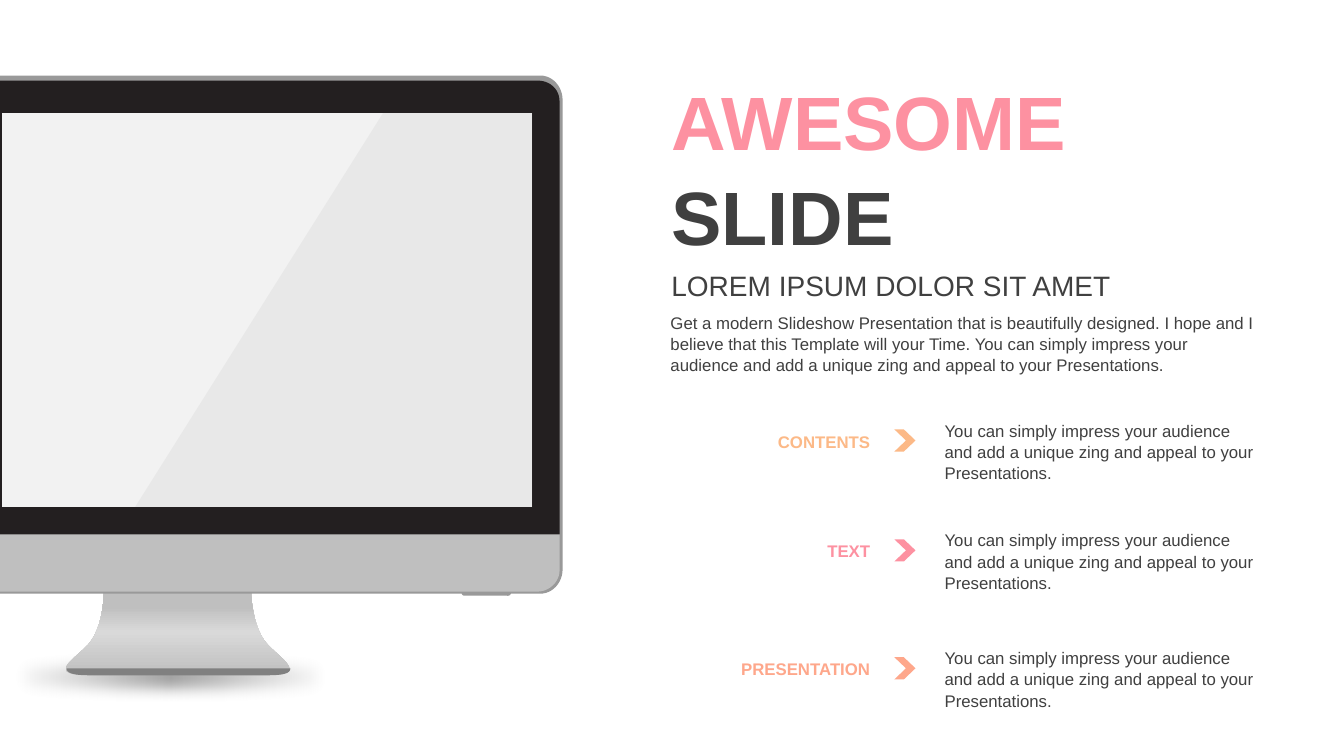
from dataclasses import dataclass

from lxml.etree import SubElement
from pptx import Presentation
from pptx.dml.color import RGBColor
from pptx.enum.shapes import MSO_SHAPE
from pptx.enum.text import MSO_ANCHOR, PP_ALIGN
from pptx.oxml.ns import qn
from pptx.util import Inches, Pt

DARK, BEZEL, METAL, EDGE, GRAY = "404040", "231F20", "BFBFBF", "999999", "808080"
PINK, ORANGE, CORAL = "FD91A1", "FCB987", "FEA78B"
CURVE_STEPS = 12
ITEM_TEXT = ("You can simply impress your audience and add a unique zing "
             "and appeal to your Presentations.")
INTRO = ("Get a modern Slideshow Presentation that is beautifully designed. "
         "I hope and I believe that this Template will your Time. You can simply "
         "impress your audience and add a unique zing and appeal to your Presentations.")


@dataclass
class Outline:
    points: list
    color: str
    alpha: int = 100


@dataclass
class Item:
    label: str
    color: str
    top: float


@dataclass
class Stop:
    pos: int
    color: str
    alpha: int = 100


STAND = Outline([(2.49, 5.88), (1.03, 5.88),
                 (1.03, 5.88, 1.03, 6.23, 0.87, 6.4),
                 (0.71, 6.56, 0.46, 6.7, 0.89, 6.7),
                 (2.63, 6.7),
                 (3.06, 6.7, 2.82, 6.56, 2.66, 6.4),
                 (2.5, 6.24, 2.49, 5.88, 2.49, 5.88)], METAL)
STAND_STOPS = [Stop(0, METAL), Stop(53, "D9D9D9"), Stop(83, METAL), Stop(100, METAL)]
SHADOW_STOPS = [Stop(0, GRAY, 0), Stop(24, GRAY, 0), Stop(50, GRAY, 75),
                Stop(76, GRAY, 0), Stop(100, GRAY, 0)]
MONITOR = [
    Outline([(0, 0.75), (5.36, 0.75), (5.48, 0.75, 5.58, 0.86, 5.58, 0.99),
             (5.58, 5.65), (5.58, 5.78, 5.48, 5.89, 5.36, 5.89), (0, 5.89)], EDGE),
    Outline([(4.58, 5.87), (4.58, 5.87, 4.57, 5.91, 4.61, 5.91), (5.03, 5.91),
             (5.03, 5.91, 5.07, 5.92, 5.07, 5.87)], EDGE),
    Outline([(0, 0.8), (5.33, 0.8), (5.45, 0.8, 5.55, 0.88, 5.55, 1.01),
             (5.55, 5.3), (0, 5.3)], BEZEL),
    Outline([(0.66, 6.63), (0.66, 6.68, 0.73, 6.7, 0.9, 6.7), (2.64, 6.7),
             (2.82, 6.7, 2.88, 6.68, 2.88, 6.63)], GRAY),
    Outline([(0, 5.31), (5.55, 5.31), (5.55, 5.66),
             (5.55, 5.77, 5.45, 5.87, 5.33, 5.87), (0, 5.87)], METAL),
    Outline([(0.02, 1.12), (5.28, 1.12), (5.28, 5.03), (0.02, 5.03)], "F2F2F2"),
    Outline([(3.8, 1.12), (5.28, 1.12), (5.28, 5.03), (1.34, 5.03)], EDGE, 10),
]
ITEMS = [Item("CONTENTS", ORANGE, 4.11), Item("TEXT", PINK, 5.2),
         Item("PRESENTATION", CORAL, 6.37)]


def rgb(color: str) -> RGBColor:
    return RGBColor.from_string(color)


def style(sp, color: str, alpha: int = 100) -> None:
    sp.shadow.inherit = False
    sp.line.fill.background()
    sp.fill.solid()
    sp.fill.fore_color.rgb = rgb(color)
    if alpha < 100:
        clr = next(sp._element.spPr.iter(qn("a:srgbClr")))
        SubElement(clr, qn("a:alpha"), val=str(alpha * 1000))


def set_gradient(sp, stops: list[Stop], angle: float) -> None:
    sp.fill.gradient()
    sp.fill.gradient_angle = angle
    stop_list = next(sp._element.spPr.iter(qn("a:gsLst")))
    for gs in list(stop_list):
        stop_list.remove(gs)
    for stop in stops:
        gs = SubElement(stop_list, qn("a:gs"), pos=str(stop.pos * 1000))
        clr = SubElement(gs, qn("a:srgbClr"), val=stop.color)
        if stop.alpha < 100:
            SubElement(clr, qn("a:alpha"), val=str(stop.alpha * 1000))


def flatten(points: list) -> list[tuple]:
    result = [points[0]]
    for point in points[1:]:
        if len(point) == 2:
            result.append(point)
            continue
        start = result[-1]
        for step in range(1, CURVE_STEPS + 1):
            t = step / CURVE_STEPS
            u = 1 - t
            result.append(tuple(
                u**3 * start[i] + 3 * u * u * t * point[i]
                + 3 * u * t * t * point[i + 2] + t**3 * point[i + 4]
                for i in (0, 1)))
    return result


def add_outline(s, outline: Outline):
    points = [(Inches(x), Inches(y)) for x, y in flatten(outline.points)]
    builder = s.shapes.build_freeform(*points[0])
    builder.add_line_segments(points[1:], close=True)
    sp = builder.convert_to_shape()
    style(sp, outline.color, outline.alpha)
    return sp


def add_text(s, box: tuple, text: str, size: int = 12, color: str = DARK,
             bold: bool = False, align=PP_ALIGN.LEFT, anchor=MSO_ANCHOR.TOP):
    tf = s.shapes.add_textbox(*map(Inches, box)).text_frame
    tf.word_wrap = True
    tf.vertical_anchor = anchor
    tf.text = text
    p = tf.paragraphs[0]
    p.alignment = align
    p.line_spacing = 1.05
    for r in p.runs:
        r.font.name = "Arial"
        r.font.size = Pt(size)
        r.font.bold = bold
        r.font.color.rgb = rgb(color)
    return tf


def add_monitor(s) -> None:
    sp = s.shapes.add_shape(MSO_SHAPE.OVAL, *map(Inches, (-1.43, 6.45, 6.25, 0.52)))
    style(sp, GRAY)
    set_gradient(sp, SHADOW_STOPS, 0)
    effects = sp._element.spPr.find(qn("a:effectLst"))
    SubElement(effects, qn("a:softEdge"), rad=str(Inches(0.15)))
    set_gradient(add_outline(s, STAND), STAND_STOPS, 90)
    for outline in MONITOR:
        add_outline(s, outline)


def add_item(s, item: Item) -> None:
    add_text(s, (7.07, item.top + 0.11, 1.66, 0.3), item.label,
             color=item.color, bold=True, align=PP_ALIGN.RIGHT)
    add_text(s, (9.27, item.top, 3.29, 0.71), ITEM_TEXT)
    sp = s.shapes.add_shape(
        MSO_SHAPE.CHEVRON, *map(Inches, (8.87, item.top + 0.15, 0.21, 0.22)))
    sp.adjustments[0] = 0.55
    style(sp, item.color)


def main() -> None:
    prs = Presentation()
    prs.slide_width, prs.slide_height = Inches(13.33), Inches(7.5)
    s = prs.slides.add_slide(prs.slide_layouts[6])
    add_monitor(s)
    add_text(s, (6.56, 2.6, 6, 0.44), "LOREM IPSUM DOLOR SIT AMET", 20,
             align=PP_ALIGN.JUSTIFY, anchor=MSO_ANCHOR.MIDDLE)
    title = add_text(s, (6.56, 0.68, 6, 1.92), "AWESOME ", 54, PINK, True,
                     PP_ALIGN.JUSTIFY, MSO_ANCHOR.MIDDLE)
    r = title.paragraphs[0].add_run()
    r.text = "SLIDE"
    r.font.name, r.font.size, r.font.bold = "Arial", Pt(54), True
    r.font.color.rgb = rgb(DARK)
    intro = add_text(s, (6.65, 3.04, 5.89, 0.71), INTRO)
    intro.margin_left = 0
    for item in ITEMS:
        add_item(s, item)
    prs.save("out.pptx")


if __name__ == "__main__":
    main()
